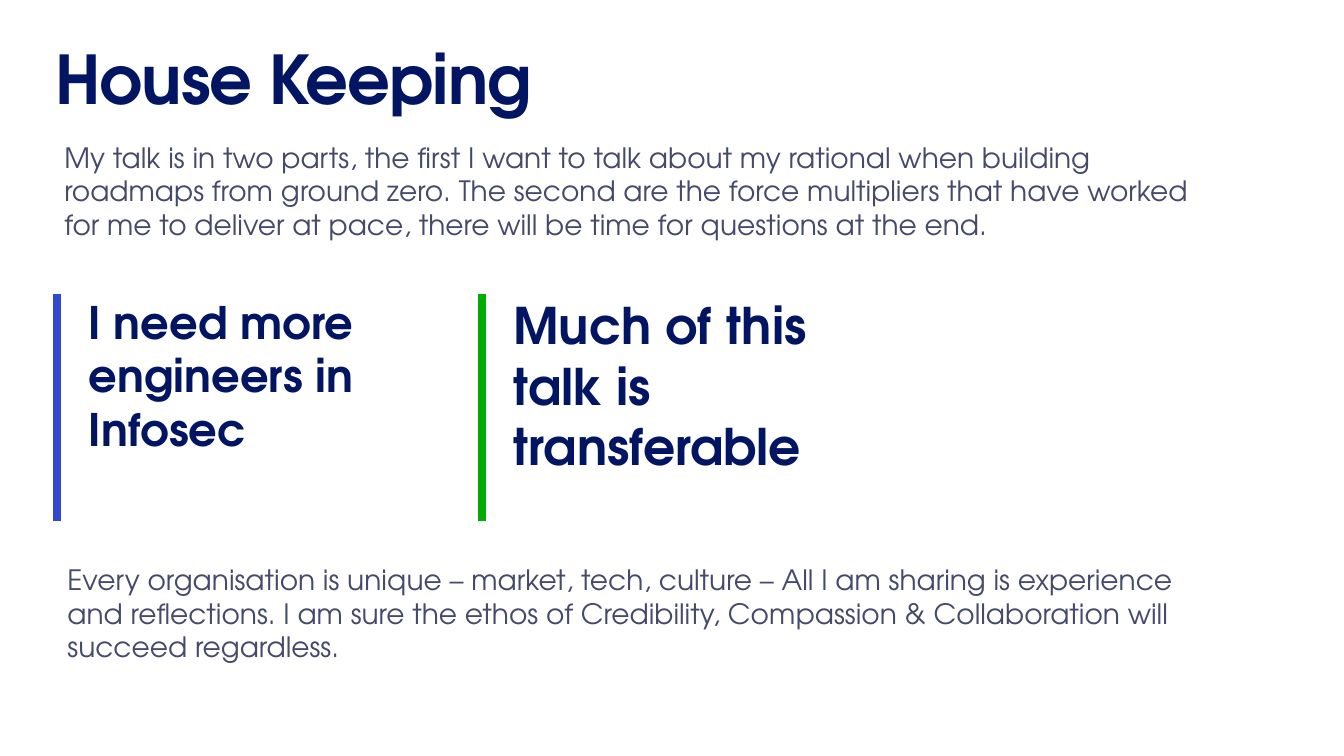
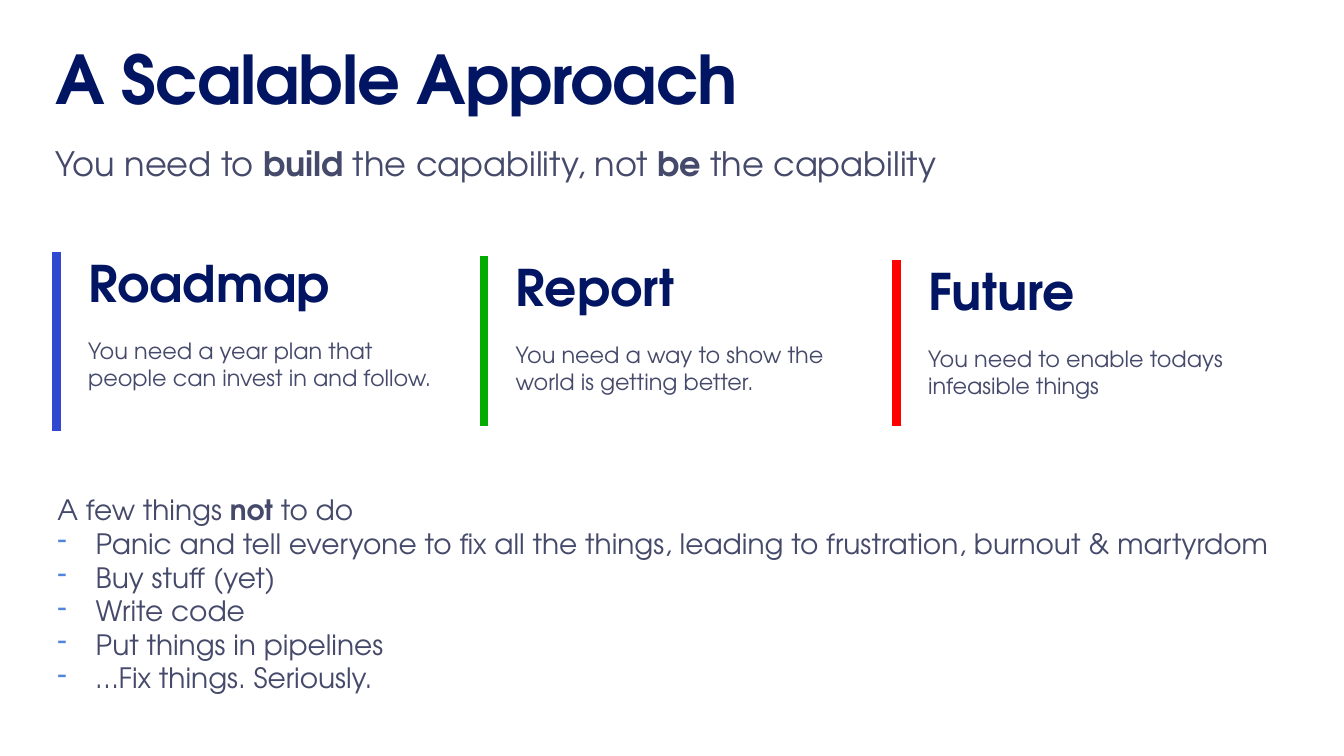
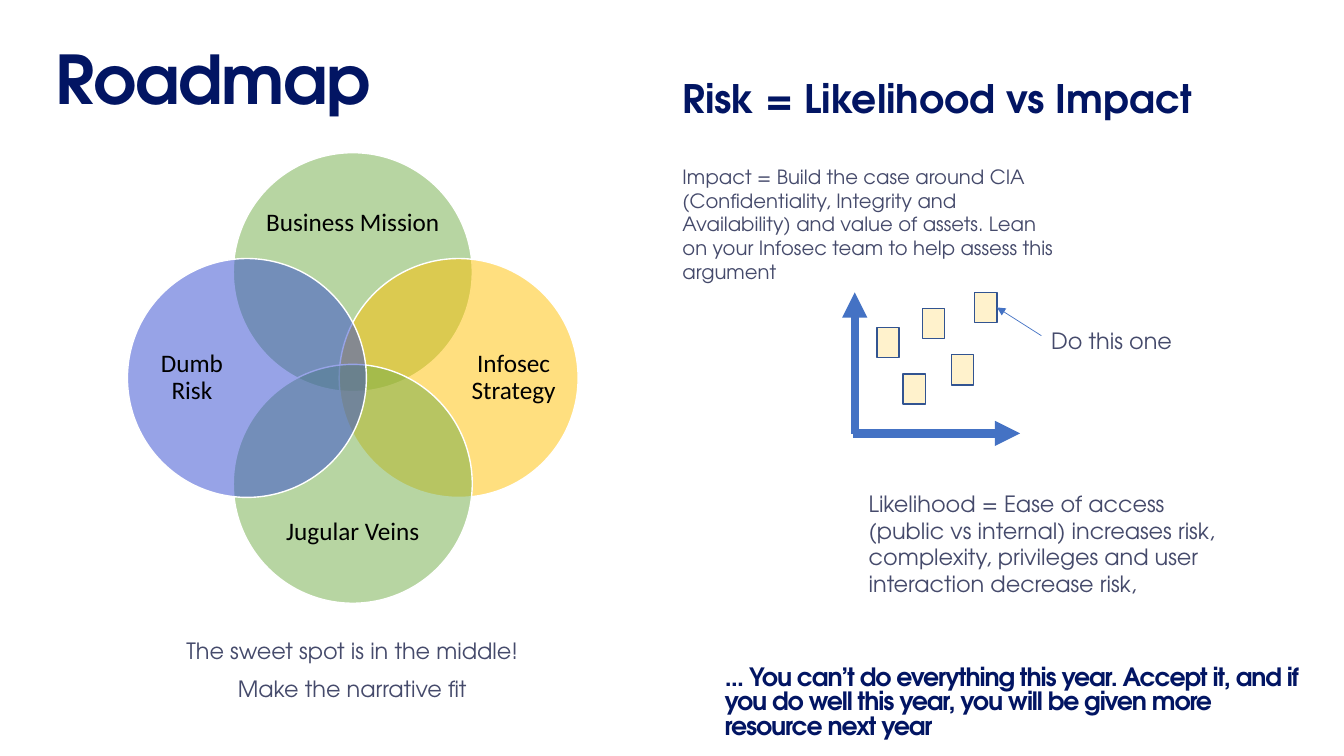
from dataclasses import dataclass

from lxml import etree
from pptx import Presentation
from pptx.dml.color import RGBColor
from pptx.enum.shapes import MSO_CONNECTOR, MSO_SHAPE
from pptx.enum.text import MSO_ANCHOR, MSO_AUTO_SIZE, PP_ALIGN
from pptx.oxml.ns import qn
from pptx.util import Emu, Inches, Pt

STRAIGHT = MSO_CONNECTOR.STRAIGHT
OVAL, RECTANGLE = MSO_SHAPE.OVAL, MSO_SHAPE.RECTANGLE
TOP, MIDDLE = MSO_ANCHOR.TOP, MSO_ANCHOR.MIDDLE
LEFT, CENTER = PP_ALIGN.LEFT, PP_ALIGN.CENTER
GROW, FIXED = MSO_AUTO_SIZE.SHAPE_TO_FIT_TEXT, MSO_AUTO_SIZE.NONE

WIDTH, HEIGHT = Inches(13.33), Inches(7.5)
RIGHT_SIDE = 3
COLORS = {
    "navy": "021563",
    "slate": "454A6B",
    "blue": "3049D0",
    "green": "00AD00",
    "red": "FF0000",
    "dash": "5184DC",
    "leaf": "70AD47",
    "amber": "FFC000",
    "axis": "4472C4",
    "cream": "FFF2CC",
    "outline": "325491",
    "white": "FFFFFF",
    "black": "000000",
}


@dataclass(frozen=True)
class Style:
    size: int
    color: str = "slate"
    bold: bool = False
    font: str = "TeX Gyre Adventor"
    align: PP_ALIGN = LEFT
    line_spacing: float = 1.0
    before: float = 0
    after: float = 0
    tracking: int = 0
    dash: bool = False


TITLE = Style(48, "navy", True, line_spacing=0.8, tracking=-80)
CLOSING = Style(18, "navy", True, line_spacing=0.8, tracking=-80)
BODY = Style(20)
DASHED = Style(20, dash=True)
LEAD = Style(24)
NOTE = Style(16)
CARD_HEAD = Style(36, "navy", True, after=17.6)
CARD_HEAD_SMALL = Style(32, "navy", True, after=17.6)
CARD_TEXT = Style(16, after=17.6)
SECTION = Style(28, "navy", True, after=17.6)
SMALL = Style(14, after=17.6)
CAPTION = Style(16, align=CENTER, line_spacing=0.9, before=10)
VENN_LABEL = Style(18, "black", font="Calibri", align=CENTER, line_spacing=0.9)


def across(percent):
    return Emu(round(WIDTH * percent / 100))


def down(percent):
    return Emu(round(HEIGHT * percent / 100))


def area(left, top, width, height):
    return across(left), down(top), across(width), down(height)


def around(center_x, center_y, width, height):
    return center_x - width // 2, center_y - height // 2, width, height


def rgb(name):
    return RGBColor.from_string(COLORS[name])


def add_dash(paragraph):
    properties = paragraph._p.get_or_add_pPr()
    indent = across(2.85)
    properties.set("marL", str(indent))
    properties.set("indent", str(-indent))
    color = etree.SubElement(properties, qn("a:buClr"))
    etree.SubElement(color, qn("a:srgbClr"), val=COLORS["dash"])
    etree.SubElement(properties, qn("a:buChar"), char="-")


def write_paragraph(paragraph, words, style):
    paragraph.alignment = style.align
    paragraph.line_spacing = style.line_spacing
    paragraph.space_before = Pt(style.before)
    paragraph.space_after = Pt(style.after)
    if style.dash:
        add_dash(paragraph)
    for index, piece in enumerate(words.split("*")):
        run = paragraph.add_run()
        run.text = piece
        run.font.name = style.font
        run.font.size = Pt(style.size)
        run.font.bold = style.bold or index % 2 == 1
        run.font.color.rgb = rgb(style.color)
        if style.tracking:
            run._r.get_or_add_rPr().set("spc", str(style.tracking))


def add_text(slide, place, *lines, inset=True, anchor=TOP, fit=GROW):
    frame = slide.shapes.add_textbox(*place).text_frame
    frame.word_wrap = True
    frame.auto_size = fit
    frame.vertical_anchor = anchor
    if not inset:
        frame.margin_left = frame.margin_right = 0
        frame.margin_top = frame.margin_bottom = 0
    for index, (words, style) in enumerate(lines):
        paragraph = frame.add_paragraph() if index else frame.paragraphs[0]
        write_paragraph(paragraph, words, style)


def add_line(slide, start, end, color, weight, arrow=False):
    line = slide.shapes.add_connector(
        STRAIGHT, across(start[0]), down(start[1]), across(end[0]), down(end[1])
    )
    line.line.color.rgb = rgb(color)
    line.line.width = Pt(weight)
    if arrow:
        etree.SubElement(line.line._get_or_add_ln(), qn("a:tailEnd"), type="triangle")
    etree.SubElement(line._element.spPr, qn("a:effectLst"))
    return line


def add_figure(slide, kind, place, fill, outline, opacity=100):
    figure = slide.shapes.add_shape(kind, *place)
    figure.shadow.inherit = False
    figure.fill.solid()
    figure.fill.fore_color.rgb = rgb(fill)
    figure.line.color.rgb = rgb(outline)
    figure.line.width = Pt(1)
    if opacity < 100:
        color = figure._element.spPr.find(qn("a:solidFill")).find(qn("a:srgbClr"))
        etree.SubElement(color, qn("a:alpha"), val=str(opacity * 1000))
    return figure


def add_card(slide, left, top, bottom, color, text_height, *lines):
    add_line(slide, (left, top), (left, bottom), color, 6)
    add_text(slide, area(left + 2.36, top, 25.95, text_height), *lines, inset=False)


def add_titled_slide(deck, title, width=44.18):
    slide = deck.slides.add_slide(deck.slide_layouts[6])
    add_text(slide, area(3.38, 6.4, width, 10), (title, TITLE))
    return slide


def add_venn(slide):
    center_x, center_y = across(26.25), down(50)
    diameter, shift = down(31.6), down(14)
    wide, narrow = (down(24.27), down(10)), (down(12.13), down(24.27))
    petals = [
        ("Business Mission", "leaf", 0, -1, wide, down(20.47)),
        ("Infosec Strategy", "amber", 1, 0, narrow, down(21.27)),
        ("Jugular Veins", "leaf", 0, 1, wide, down(20.47)),
        ("Dumb Risk", "blue", -1, 0, narrow, down(21.27)),
    ]
    for label, color, dx, dy, label_size, reach in petals:
        circle = around(center_x + dx * shift, center_y + dy * shift, diameter, diameter)
        add_figure(slide, OVAL, circle, color, "white", opacity=50)
        label_place = around(center_x + dx * reach, center_y + dy * reach, *label_size)
        add_text(slide, label_place, (label, VENN_LABEL), inset=False, anchor=MIDDLE, fit=FIXED)


def add_risk_plot(slide):
    add_line(slide, (63.6, 57.4), (63.6, 38.67), "axis", 6, arrow=True)
    add_line(slide, (63.5, 57.33), (75.9, 57.33), "axis", 6, arrow=True)
    spots = [(72.53, 38.67), (68.63, 40.8), (70.8, 46.93), (67.2, 49.47), (65.25, 43.33)]
    risks = [
        add_figure(slide, RECTANGLE, area(left, top, 1.65, 4), "cream", "outline")
        for left, top in spots
    ]
    add_text(slide, area(77.48, 42.67, 11, 4.93), ("Do this one", NOTE))
    pointer = add_line(slide, (77.48, 44.4), (74.18, 40.67), "axis", 0.5, arrow=True)
    pointer.end_connect(risks[0], RIGHT_SIDE)


def build_house_keeping(deck):
    slide = add_titled_slide(deck, "House Keeping")
    add_card(slide, 4.25, 38.93, 68.93, "blue", 21.6,
             ("I need more engineers in Infosec", CARD_HEAD_SMALL))
    add_card(slide, 35.85, 38.93, 68.93, "green", 24.27,
             ("Much of this talk is transferable", CARD_HEAD))
    add_text(slide, area(4.05, 17.87, 86.93, 14.8), (
        "My talk is in two parts, the first I want to talk about my rational when building "
        "roadmaps from ground zero. The second are the force multipliers that have worked "
        "for me to deliver at pace, there will be time for questions at the end.", BODY))
    add_text(slide, area(4.28, 73.73, 86.93, 14.8), (
        "Every organisation is unique – market, tech, culture – All I am sharing is experience "
        "and reflections. I am sure the ethos of Credibility, Compassion & Collaboration will "
        "succeed regardless.", BODY))


def build_scalable_approach(deck):
    slide = add_titled_slide(deck, "A Scalable Approach", 56.03)
    add_text(slide, area(3.38, 18.27, 88.5, 6.67),
             ("You need to *build* the capability, not *be* the capability", LEAD))
    cards = [
        (4.2, 33.33, 57.07, "blue", "Roadmap",
         "You need a year plan that people can invest in and follow."),
        (36, 33.87, 56.4, "green", "Report",
         "You need a way to show the world is getting better."),
        (66.7, 34.4, 56.4, "red", "Future",
         "You need to enable todays infeasible things"),
    ]
    for left, top, bottom, color, heading, detail in cards:
        add_card(slide, left, top, bottom, color, 14.2,
                 (heading, CARD_HEAD), (detail, CARD_TEXT))
    mistakes = [
        "Panic and tell everyone to fix all the things, leading to frustration, burnout & martyrdom",
        "Buy stuff (yet)",
        "Write code",
        "Put things in pipelines",
        "…Fix things. Seriously.",
    ]
    add_text(slide, area(3.53, 64.53, 93.6, 28.27),
             ("A few things *not* to do", BODY),
             *[(mistake, DASHED) for mistake in mistakes])


def build_roadmap(deck):
    slide = add_titled_slide(deck, "Roadmap")
    add_venn(slide)
    add_text(slide, area(5.63, 84, 41.18, 9.73),
             ("The sweet spot is in the middle!", CAPTION),
             ("Make the narrative fit", CAPTION))
    add_text(slide, area(53.18, 87.6, 44.18, 11.07), (
        "… You can’t do everything this year. Accept it, and if you do well this year, "
        "you will be given more resource next year", CLOSING))
    add_text(slide, area(50.78, 9.87, 39.23, 15.87),
             ("Risk = Likelihood vs Impact", SECTION), inset=False)
    add_text(slide, area(50.78, 21.87, 28.13, 15.73), (
        "Impact = Build the case around CIA (Confidentiality, Integrity and Availability) "
        "and value of assets. Lean on your Infosec team to help assess this argument",
        SMALL), inset=False)
    add_text(slide, area(63.9, 64.13, 28.13, 19.73), (
        "Likelihood = Ease of access (public vs internal) increases risk, complexity, "
        "privileges and user interaction decrease risk,", NOTE))
    add_risk_plot(slide)


def main():
    deck = Presentation()
    deck.slide_width, deck.slide_height = WIDTH, HEIGHT
    build_house_keeping(deck)
    build_scalable_approach(deck)
    build_roadmap(deck)
    deck.save("out.pptx")


if __name__ == "__main__":
    main()
